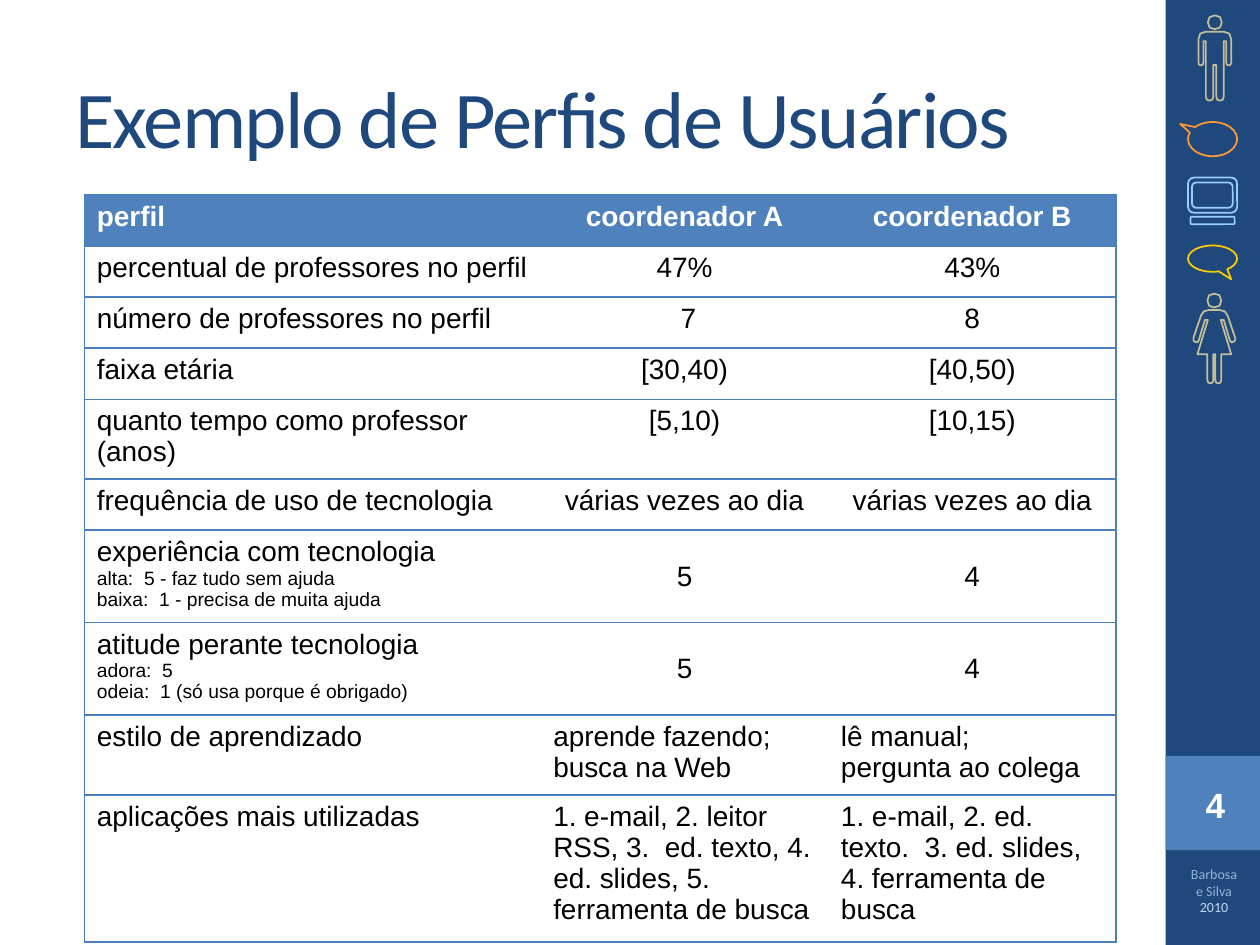
from dataclasses import dataclass

from lxml.etree import SubElement
from pptx import Presentation
from pptx.dml.color import RGBColor as Rgb
from pptx.enum.shapes import MSO_SHAPE as Preset
from pptx.enum.text import MSO_ANCHOR as Anchor, PP_ALIGN as Align
from pptx.oxml.ns import qn
from pptx.util import Cm, Pt


@dataclass(frozen=True)
class Theme:
    navy: str = "1F497D"
    blue: str = "4F81BD"
    rule: str = "4B7EBC"
    white: str = "FFFFFF"
    black: str = "000000"
    pale: str = "95B3D7"
    paler: str = "C6D9F1"
    sand: str = "C4BD97"
    orange: str = "FF9933"
    sky: str = "99CCFF"
    yellow: str = "FFCC00"
    heading_font: str = "Calibri"
    body_font: str = "Arial"
    title_size: int = 46
    number_size: int = 20
    cell_size: int = 16
    note_size: int = 11
    credit_size: int = 8
    line: float = 1


def rounded(corners, steps=2):
    """Turn (x, y, radius) corners into points in EMU that follow rounded corners."""
    points = []
    for i, (x, y, radius) in enumerate(corners):
        if not radius:
            points.append((Cm(x), Cm(y)))
            continue
        ends = []
        for nx, ny, _ in (corners[i - 1], corners[(i + 1) % len(corners)]):
            length = ((nx - x) ** 2 + (ny - y) ** 2) ** 0.5
            share = min(radius / length, 0.5)
            ends.append((x + (nx - x) * share, y + (ny - y) * share))
        (ax, ay), (bx, by) = ends
        for step in range(steps + 1):
            t = step / steps
            a, m, b = (1 - t) ** 2, 2 * t * (1 - t), t * t
            points.append((Cm(a * ax + m * x + b * bx), Cm(a * ay + m * y + b * by)))
    return points


class SlideBuilder:
    def __init__(self, slide, theme):
        self.slide = slide
        self.theme = theme

    def shape(self, preset, box, fill=None, line=None, adjust=(), parent=None):
        item = (parent or self.slide).shapes.add_shape(preset, *map(Cm, box))
        for i, value in enumerate(adjust):
            item.adjustments[i] = value
        self.paint(item, fill, line)

    def paint(self, item, fill=None, line=None):
        item.shadow.inherit = False
        for part, color in ((item.fill, fill), (item.line.fill, line)):
            if color:
                part.solid()
                part.fore_color.rgb = Rgb.from_string(color)
            else:
                part.background()
        if line:
            item.line.width = Pt(self.theme.line)

    def figure(self, center, head_y, right_half):
        """Draw a person: a round head and a body mirrored about its center."""
        radius = 0.14
        head = [(center + dx * radius, head_y + dy * radius, radius)
                for dx, dy in ((-1, -1), (1, -1), (1, 1), (-1, 1))]
        left_half = [(-x, y, r) for x, y, r in reversed(right_half)]
        body = [(center + x, y, r) for x, y, r in right_half + left_half]
        head_points, body_points = rounded(head), rounded(body)
        pen = self.slide.shapes.build_freeform(*head_points[0])
        pen.add_line_segments(head_points[1:], close=True)
        pen.move_to(*body_points[0])
        pen.add_line_segments(body_points[1:], close=True)
        self.paint(pen.convert_to_shape(), line=self.theme.sand)

    def text(self, box, wording, font, size, color, bold=False,
             align=Align.LEFT, anchor=Anchor.TOP):
        frame = self.slide.shapes.add_textbox(*map(Cm, box)).text_frame
        frame.word_wrap = True
        frame.vertical_anchor = anchor
        paragraph = frame.paragraphs[0]
        paragraph.text = wording
        paragraph.alignment = align
        for run in paragraph.runs:
            self.style(run, font, size, color, bold)
        return paragraph

    def style(self, run, font, size, color, bold=False):
        run.font.name = font
        run.font.size = Pt(size)
        run.font.bold = bold
        run.font.color.rgb = Rgb.from_string(color)

    def table(self, left, top, widths, height, row_height, rows):
        """Add a table whose rows start at row_height and grow with their text."""
        holder = self.slide.shapes.add_table(
            len(rows), len(widths), Cm(left), Cm(top), Cm(sum(widths)), Cm(height))
        grid = holder.table
        grid.horz_banding = False
        for column, width in zip(grid.columns, widths):
            column.width = Cm(width)
        for r, row in enumerate(rows):
            grid.rows[r].height = Cm(row_height)
            for c, wording in enumerate(row):
                has_notes = "\n" in row[0]
                self.cell(grid.cell(r, c), wording, header=r == 0,
                          centered=c > 0 and r < len(rows) - 2,
                          middle=c > 0 and has_notes,
                          notes=c == 0 and has_notes,
                          sides={"L": c == 0, "R": c == len(widths) - 1})
        holder.height = Cm(height)

    def cell(self, cell, wording, header, centered, middle, notes, sides):
        theme = self.theme
        self.borders(cell, sides)
        if header:
            cell.fill.solid()
            cell.fill.fore_color.rgb = Rgb.from_string(theme.blue)
        else:
            cell.fill.background()
        cell.vertical_anchor = Anchor.MIDDLE if middle else Anchor.TOP
        cell.text_frame.text = wording
        for i, paragraph in enumerate(cell.text_frame.paragraphs):
            paragraph.alignment = Align.CENTER if centered else Align.LEFT
            size = theme.note_size if notes and i else theme.cell_size
            color = theme.white if header else theme.black
            for run in paragraph.runs:
                self.style(run, theme.body_font, size, color, header)

    def borders(self, cell, sides):
        properties = cell._tc.get_or_add_tcPr()
        for side, shown in {**sides, "T": True, "B": True}.items():
            edge = SubElement(properties, qn(f"a:ln{side}"),
                              w=str(Pt(self.theme.line)))
            if shown:
                paint = SubElement(edge, qn("a:solidFill"))
                SubElement(paint, qn("a:srgbClr"), val=self.theme.rule)
            else:
                SubElement(edge, qn("a:noFill"))


PROFILES = [
    ("perfil", "coordenador A", "coordenador B"),
    ("percentual de professores no perﬁl", "47%", "43%"),
    ("número de professores no perﬁl", " 7", "8"),
    ("faixa etária", "[30,40)", "[40,50)"),
    ("quanto tempo como professor (anos)", "[5,10)", "[10,15)"),
    ("frequência de uso de tecnologia", "várias vezes ao dia", "várias vezes ao dia"),
    ("experiência com tecnologia\nalta:  5 - faz tudo sem ajuda\n"
     "baixa:  1 - precisa de muita ajuda", "5", "4"),
    ("atitude perante tecnologia\nadora:  5\n"
     "odeia:  1 (só usa porque é obrigado)", "5", "4"),
    ("estilo de aprendizado", "aprende fazendo; busca na Web",
     "lê manual;\npergunta ao colega"),
    ("aplicações mais utilizadas",
     "1. e-mail, 2. leitor RSS, 3.  ed. texto, 4. ed. slides, 5. ferramenta de busca",
     "1. e-mail, 2. ed. texto.  3. ed. slides, 4. ferramenta de busca"),
]

# Right halves of the bodies: offset from the center, height, corner radius
MAN = [(0.33, 0.64, 0.15), (0.33, 1.32, 0.06), (0.23, 1.32, 0.06),
       (0.23, 0.83, 0), (0.18, 0.83, 0), (0.18, 2.03, 0.08),
       (0.03, 2.03, 0.08), (0.03, 1.31, 0)]
WOMAN = [(0.23, 6.25, 0.12), (0.44, 6.87, 0.06), (0.33, 6.92, 0.06),
         (0.19, 6.45, 0), (0.13, 6.45, 0), (0.34, 7.14, 0), (0.14, 7.14, 0),
         (0.14, 7.73, 0.07), (0.02, 7.73, 0.07), (0.02, 7.14, 0)]


def main():
    deck = Presentation()
    deck.slide_width, deck.slide_height = Cm(25.4), Cm(19.05)
    theme = Theme()
    slide = deck.slides.add_slide(deck.slide_layouts[6])
    page = SlideBuilder(slide, theme)

    page.shape(Preset.RECTANGLE, (23.5, 0, 1.9, 19.05), fill=theme.navy)
    page.shape(Preset.RECTANGLE, (23.5, 15.24, 1.9, 1.9), fill=theme.blue)
    page.figure(24.48, 6.06, WOMAN)
    page.figure(24.49, 0.45, MAN)
    page.shape(Preset.OVAL_CALLOUT, (23.95, 2.46, 0.99, 0.69),
               line=theme.orange, adjust=(-0.66, -0.44))
    computer = slide.shapes.add_group_shape()
    for box in ((23.95, 3.58, 0.99, 0.71), (24.03, 3.68, 0.82, 0.51),
                (24, 4.37, 0.89, 0.15)):
        page.shape(Preset.ROUNDED_RECTANGLE, box, line=theme.sky, parent=computer)
    page.shape(Preset.OVAL_CALLOUT, (23.95, 4.95, 0.99, 0.53),
               line=theme.yellow, adjust=(0.38, 0.79))

    page.text((23.65, 15.67, 1.7, 1.12), "4", theme.body_font, theme.number_size,
              theme.white, bold=True, align=Align.CENTER)
    credit = page.text((23.7, 17.32, 1.55, 1.4), "Barbosa e Silva ",
                       theme.heading_font, theme.credit_size, theme.pale,
                       align=Align.CENTER)
    credit.space_before = Pt(1.6)
    year = credit.add_run()
    year.text = "2010"
    page.style(year, theme.heading_font, theme.credit_size, theme.paler)

    title = page.text((1.27, 0.76, 21.16, 3.18), "Exemplo de Perfis de Usuários",
                      theme.heading_font, theme.title_size, theme.navy,
                      anchor=Anchor.MIDDLE)
    title.runs[0].font._element.set("spc", "-100")
    page.table(1.7, 3.93, (9.2, 5.8, 5.8), 14.48, 1.03, PROFILES)
    deck.save("out.pptx")


if __name__ == "__main__":
    main()
